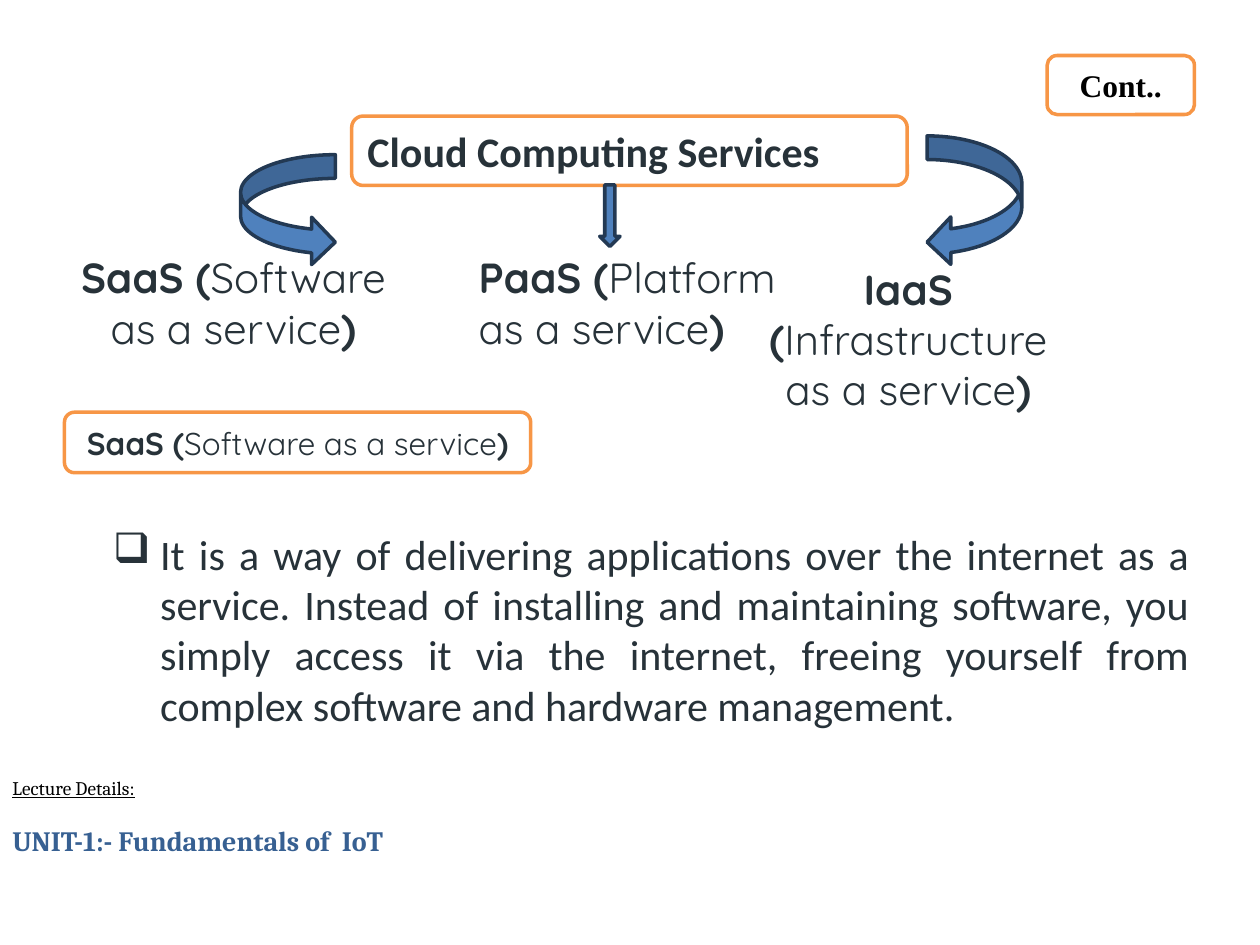
from lxml.etree import SubElement
from pptx import Presentation
from pptx.dml.color import RGBColor
from pptx.enum.shapes import MSO_SHAPE as Shape
from pptx.enum.text import MSO_ANCHOR as Anchor, PP_ALIGN as Align
from pptx.oxml.ns import qn
from pptx.util import Cm, Pt

COLORS = {
    "white": "FFFFFF",
    "black": "000000",
    "text": "273239",
    "unit": "376092",
    "frame": "F79646",
    "arrow": "4F81BD",
    "arrow_edge": "233953",
}


def color(name):
    return RGBColor.from_string(COLORS[name])


def add_run(paragraph, text, size, font, ink="text", bold=False, underline=False):
    run = paragraph.add_run()
    run.text = text
    run.font.size = Pt(size)
    run.font.name = font
    run.font.bold = bold
    run.font.underline = underline
    run.font.color.rgb = color(ink)


def add_service(paragraph, short, meaning, size):
    """Bold abbreviation and brackets around the light full name."""
    for text, bold in ((f"{short}(", True), (meaning, False), (")", True)):
        add_run(paragraph, text, size, "Quicksand", bold=bold)


def add_text(slide, box):
    frame = slide.shapes.add_textbox(*map(Cm, box)).text_frame
    frame.word_wrap = True
    return frame


def add_outlined(slide, kind, box, fill, line):
    shape = slide.shapes.add_shape(kind, *map(Cm, box))
    shape.shadow.inherit = False
    shape.fill.solid()
    shape.fill.fore_color.rgb = color(fill)
    shape.line.color.rgb = color(line)
    shape.line.width = Pt(2)
    return shape


def add_label(slide, box, alignment=Align.CENTER):
    """Rounded orange frame; returns its paragraph."""
    shape = add_outlined(slide, Shape.ROUNDED_RECTANGLE, box, "white", "frame")
    frame = shape.text_frame
    frame.word_wrap = True
    frame.vertical_anchor = Anchor.MIDDLE
    paragraph = frame.paragraphs[0]
    paragraph.alignment = alignment
    return paragraph


def add_footer(slide, box):
    frame = add_text(slide, box)
    add_run(frame.paragraphs[0], "Lecture Details:", 11, "Cambria", "black", underline=True)
    unit = frame.add_paragraph()
    unit.space_before = Pt(14)
    add_run(unit, "UNIT-1:- Fundamentals of  IoT", 16, "Cambria", "unit", bold=True)


def add_services_diagram(slide, left, top):
    # Heading
    heading = add_label(slide, (left + 5.79, top, 11.2, 1.4), Align.LEFT)
    add_run(heading, "Cloud Computing Services", 24, "Calibri", bold=True)

    # Service names
    services = (
        ("IaaS ", "Infrastructure as a service", 13.91, 2.84, 6.2, 3.33, Align.CENTER),
        ("PaaS ", "Platform as a service", 8.1, 2.61, 6.6, 2.31, Align.LEFT),
        ("SaaS ", "Software as a service", 0, 2.61, 6.81, 2.31, Align.CENTER),
    )
    for short, meaning, x, y, width, height, alignment in services:
        paragraph = add_text(slide, (left + x, top + y, width, height)).paragraphs[0]
        paragraph.alignment = alignment
        add_service(paragraph, short, meaning, 24)

    # Arrows from the heading to the services
    arrows = (
        (Shape.DOWN_ARROW, 10.79, 1.39, 0.41, 1.24),
        (Shape.CURVED_RIGHT_ARROW, 3.55, 0.78, 1.91, 2.24),
        (Shape.CURVED_LEFT_ARROW, 17.39, 0.4, 1.91, 2.62),
    )
    for kind, x, y, width, height in arrows:
        box = (left + x, top + y, width, height)
        add_outlined(slide, kind, box, "arrow", "arrow_edge")


def add_description(slide, box):
    paragraph = add_text(slide, box).paragraphs[0]
    paragraph.alignment = Align.JUSTIFY
    paragraph.space_after = Pt(7.5)
    properties = paragraph._p.get_or_add_pPr()
    indent = Cm(0.95)
    properties.set("marL", str(indent))
    properties.set("indent", str(-indent))
    SubElement(properties, qn("a:buFont"), typeface="Wingdings")
    SubElement(properties, qn("a:buChar"), char="q")
    add_run(
        paragraph,
        "It is a way of delivering applications over the internet as a service. "
        "Instead of installing and maintaining software, you simply access it via "
        "the internet, freeing yourself from complex software and hardware management.",
        24, "Calibri",
    )


def main():
    presentation = Presentation()
    presentation.slide_width = Cm(25.4)
    presentation.slide_height = Cm(19.05)
    slide = presentation.slides.add_slide(presentation.slide_layouts[6])

    add_footer(slide, (0, 15.52, 14.91, 2.49))
    add_services_diagram(slide, 1.3, 2.34)

    # Continuation tag and section label
    tag = add_label(slide, (21.11, 1.12, 2.97, 1.19))
    add_run(tag, "Cont..", 18, "Times New Roman", "black", bold=True)
    section = add_label(slide, (1.3, 8.31, 9.4, 1.22))
    add_service(section, "SaaS ", "Software as a service", 18)

    add_description(slide, (2.03, 10.52, 22.2, 4.37))
    presentation.save("out.pptx")


if __name__ == "__main__":
    main()
